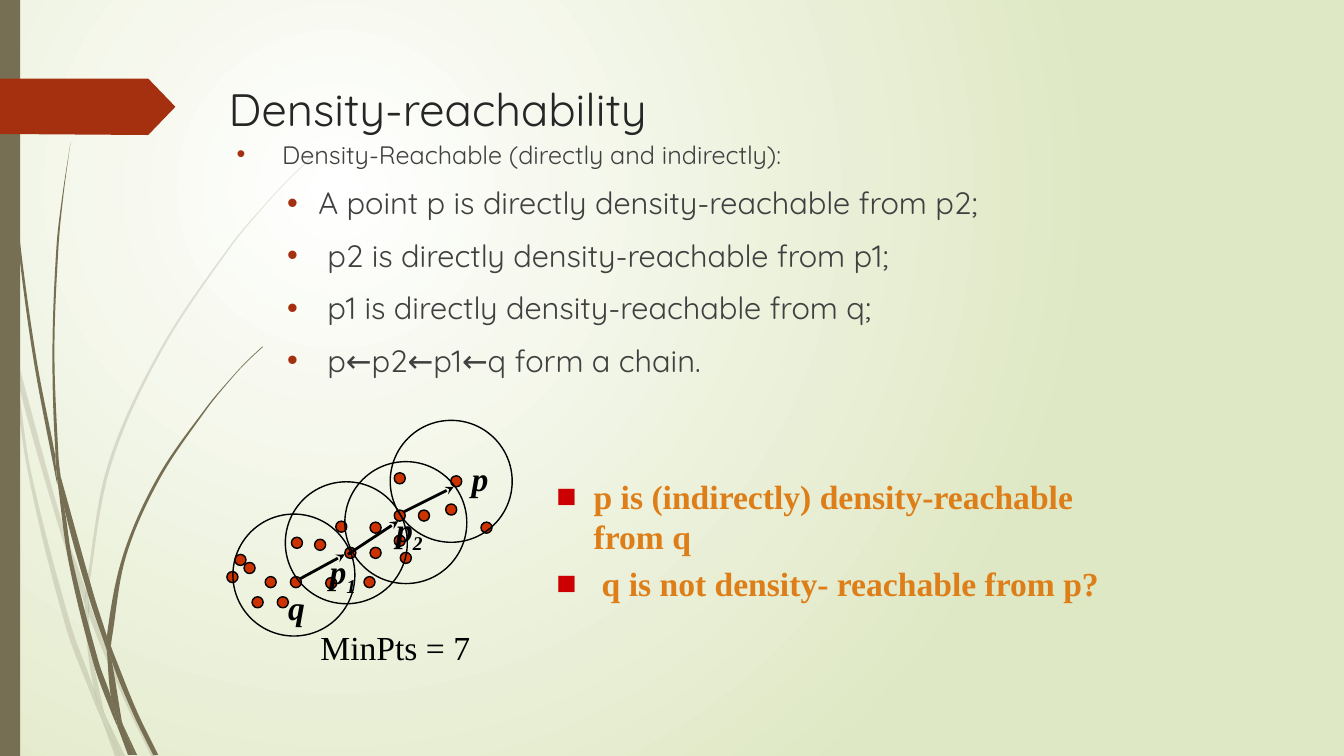
from math import hypot
from typing import NamedTuple

from lxml.etree import SubElement
from pptx import Presentation
from pptx.dml.color import RGBColor
from pptx.enum.shapes import MSO_CONNECTOR as Connector, MSO_SHAPE as Preset
from pptx.enum.text import MSO_AUTO_SIZE as AutoSize
from pptx.oxml.ns import qn
from pptx.util import Inches, Pt

# The slide is a grid of one-inch cells
COLUMNS, ROWS = 13.33, 7.5
OLIVE, RUST, BLACK = "766F54", "A53010", "000000"
SANS, SERIF = "Quicksand", "Times New Roman"
DOT, CIRCLE = 0.11, 1.21


class Place(NamedTuple):
    column: float
    row: float
    width: float
    height: float


class Style(NamedTuple):
    font: str
    size: float
    color: str
    bold: bool = False
    italic: bool = False


class Bullet(NamedTuple):
    mark: str
    color: str
    margin: float
    hang: float


class Line(NamedTuple):
    text: str
    style: Style
    bullet: Bullet | None = None
    before: float = 0
    subscript: str = ""


class Bundle(NamedTuple):
    opacity: int
    outlines: list[str]


class Arrow(NamedTuple):
    start: tuple[float, float]
    end: tuple[float, float]


# Grass strands: the x y knots of each outline
FAINT = Bundle(20, [
    "0.11 3.5 0.09 3.22 0 2.82 0 2.99 0.1 3.44",
    "0.58 5.22 0.84 5.99 0.85 5.86 0.62 5.2 0.14 3.45 0.17 3.76",
    "0.92 6.07 0.88 5.96 0.88 6.1 1.23 6.94 1.5 7.5 1.55 7.5 1.27 6.92",
    "1.19 7.5 1.24 7.5 1.05 7.11",
    "0.93 6.83 0.7 6.19 0.31 4.69 0.17 3.76 0.11 3.5 0.28 4.7 0.65 6.21 0.92 6.93 1.01 7.14 0.99 7.07",
    "0.84 5.99 0.87 6.46 0.93 6.83 0.96 6.92 1.05 7.11 1.03 7.06 0.91 6.46 0.88 6.1 0.88 6.08",
    "0.88 5.84 1.1 4.62 1.6 3.49 2.29 2.45 2.68 1.98 2.9 1.75 3.12 1.54 3.12 1.53 2.89 1.75 "
    "2.68 1.97 2.28 2.44 1.58 3.48 1.07 4.61 0.85 5.84 0.85 5.86 0.88 5.96",
    "1.01 7.14 1.14 7.5 1.19 7.5",
    "0.88 6.08 0.88 6.1 0.88 5.96 0.85 5.86 0.84 5.99",
    "0.96 6.92 0.93 6.83 0.99 7.07 1.01 7.14 1.19 7.5 1.05 7.11",
])
SOLID = Bundle(100, [
    "0.07 1.1 0.17 2.33 0.33 3.55 0.56 4.77 0.57 4.81 0.55 4.57 0.55 4.53 0.36 3.55 0.19 2.32 "
    "0.08 1.09 0.05 0.48 0.04 0 0.03 0 0.04 0.48",
    "0.88 5.92 1.06 6.45 1.06 6.33 1.06 6.31 0.93 5.9 0.6 4.72 0.64 5.05",
    "1.13 6.49 1.1 6.41 1.11 6.56 1.32 7.08 1.52 7.49 1.57 7.49 1.36 7.06",
    "1.1 6.91 0.98 6.57 0.72 5.56 0.64 5.05 0.57 4.77 0.68 5.57 0.93 6.59 1.11 7.08 1.17 7.22 1.16 7.17",
    "0.6 4.72 0.58 4.53 0.54 3.49 0.58 2.45 0.63 1.93 0.7 1.41 0.62 1.93 0.56 2.45 0.52 3.49 0.55 4.49",
    "1.33 7.49 1.36 7.49 1.22 7.19",
    "0.57 4.77 0.64 5.05 0.6 4.72 0.55 4.49 0.55 4.53",
    "1.11 6.33 1.25 5.52 1.58 4.76 2.05 4.06 2.31 3.74 2.45 3.59 2.61 3.44 2.6 3.44 2.45 3.58 "
    "2.31 3.73 2.04 4.05 1.56 4.74 1.22 5.51 1.06 6.31 1.1 6.41",
    "1.17 7.22 1.27 7.49 1.31 7.49",
    "1.06 6.45 1.1 6.91 1.16 7.06 1.22 7.19 1.21 7.16 1.11 6.56 1.09 6.51",
    "1.06 6.45 1.09 6.51 1.11 6.56 1.1 6.41 1.06 6.31 1.06 6.33",
    "1.16 7.06 1.1 6.91 1.16 7.17 1.17 7.22 1.3 7.49 1.33 7.49 1.22 7.19",
])
TAG = "0 0.78 1.47 0.78 1.74 1.06 1.47 1.34 0 1.33"

# Cluster diagram: top left corners of the points and neighbourhoods
POINTS = [
    (2.75, 5.92), (3.91, 5.06), (3.91, 4.69), (3.42, 5.43), (3.67, 5.18), (3.67, 5.43),
    (2.25, 5.67), (4.42, 5), (4.77, 5.18), (4.47, 4.72), (3.91, 5.31), (4.15, 5.06),
    (2.42, 5.58), (2.5, 5.92), (3.12, 5.35), (2.63, 5.72), (2.89, 5.33), (2.88, 5.72),
    (2.33, 5.5), (3.97, 5.48), (3.23, 5.73), (3.33, 5.17), (3.61, 5.72),
]
CIRCLES = [(3.42, 4.58), (2.83, 4.78), (3.87, 4.17), (2.31, 5.1)]
ARROWS = [Arrow((2.98, 5.74), (3.42, 5.5)), Arrow((3.45, 5.5), (3.95, 5.17)),
          Arrow((4, 5.08), (4.5, 4.83))]

# Wording
SYMBOL = Style(SERIF, 24, BLACK, True, True)
ITEM = Style(SANS, 22, "404040")
CLAIM = Style(SERIF, 24, "DE7E18", True)
FIRST = Bullet("•", RUST, 0.45, 0.45)
NEAR, FAR = Bullet("•", RUST, 0.81, 0.31), Bullet("•", RUST, 0.9, 0.4)
TITLE = [Line("Density-reachability", Style(SANS, 32.4, "262626"))]
BODY = [
    Line("Density-Reachable (directly and indirectly):", Style(SANS, 18, "404040"), FIRST),
    Line("A point p is directly density-reachable from p2;", ITEM, NEAR, 10.5),
    Line("p2 is directly density-reachable from p1;", ITEM, FAR, 11.2),
    Line("p1 is directly density-reachable from q;", ITEM, FAR, 11.2),
    Line("p←p2←p1←q form a chain.", ITEM, FAR, 11.2),
]
CLAIMS = [
    Line("p is (indirectly) density-reachable from q", CLAIM, Bullet("■", "CC0000", 0.37, 0.37)),
    Line("q is not density- reachable from p?", CLAIM, Bullet("■", "CC0000", 0.45, 0.45), 4.8),
]
LABELS = [
    (Place(4.58, 4.49, 0.42, 0.51), Line("p", SYMBOL)),
    (Place(2.76, 5.77, 0.42, 0.51), Line("q", SYMBOL)),
    (Place(3.83, 5, 0.67, 0.51), Line("p", SYMBOL, subscript="2")),
    (Place(3.17, 5.42, 0.67, 0.51), Line("p", SYMBOL, subscript="1")),
    (Place(3.08, 6.17, 3.17, 0.5), Line("MinPts = 7", Style(SERIF, 24, BLACK))),
]


def rgb(code: str) -> RGBColor:
    return RGBColor.from_string(code)


def toward(start, end) -> tuple[float, float]:
    dx, dy = end[0] - start[0], end[1] - start[1]
    length = hypot(dx, dy) or 1
    return dx / length, dy / length


def tangents(knots: list, i: int) -> tuple:
    """Directions into and out of a knot; they differ at a sharp corner."""
    before, here, after = knots[i - 1], knots[i], knots[(i + 1) % len(knots)]
    into, out = toward(before, here), toward(here, after)
    if into[0] * out[0] + into[1] * out[1] < 0.8:
        return into, out
    return (toward(before, after),) * 2


def bend(shape, knots: list) -> None:
    """Turn the straight sides of a freeform into curves."""
    for i, side in enumerate(shape._element.findall(".//" + qn("a:lnTo"))):
        j = (i + 1) % len(knots)
        a, b, leave, arrive = knots[i], knots[j], tangents(knots, i)[1], tangents(knots, j)[0]
        pull = hypot(b[0] - a[0], b[1] - a[1]) / 3
        controls = ([a[k] + pull * leave[k] for k in (0, 1)],
                    [b[k] - pull * arrive[k] for k in (0, 1)], b)
        side.tag = qn("a:cubicBezTo")
        side.remove(side[0])
        for x, y in controls:
            SubElement(side, qn("a:pt"), x=str(round(x - shape.left)), y=str(round(y - shape.top)))


def paint(shape, fill: str | None, line: str | None = None) -> None:
    shape.shadow.inherit = False
    if fill:
        shape.fill.solid()
        shape.fill.fore_color.rgb = rgb(fill)
    else:
        shape.fill.background()
    if line:
        shape.line.color.rgb, shape.line.width = rgb(line), Pt(1)
    else:
        shape.line.fill.background()


def draw_outline(shapes, outline: str, color: str, opacity: int = 100, curved: bool = True):
    numbers = [Inches(float(number)) for number in outline.split()]
    knots = list(zip(numbers[::2], numbers[1::2]))
    builder = shapes.build_freeform(*knots[0])
    builder.add_line_segments(knots[1:] + knots[:1], close=True)
    shape = builder.convert_to_shape()
    if curved:
        bend(shape, knots)
    paint(shape, color)
    if opacity < 100:
        tint = shape._element.spPr.find(".//" + qn("a:srgbClr"))
        SubElement(tint, qn("a:alpha"), val=str(opacity * 1000))
    return shape


def draw_shape(page, preset, place: Place, fill: str | None, line: str | None = None):
    shape = page.shapes.add_shape(preset, *map(Inches, place))
    paint(shape, fill, line)
    return shape


def draw_arrow(page, arrow: Arrow) -> None:
    link = page.shapes.add_connector(Connector.STRAIGHT, *map(Inches, arrow.start + arrow.end))
    link.line.color.rgb, link.line.width = rgb(BLACK), Pt(2)
    SubElement(link.line._get_or_add_ln(), qn("a:tailEnd"), type="stealth")
    SubElement(link._element.spPr, qn("a:effectLst"))


def draw_text(page, place: Place, lines: list[Line], grow: bool = False) -> None:
    frame = page.shapes.add_textbox(*map(Inches, place)).text_frame
    frame.word_wrap = True
    frame.auto_size = AutoSize.SHAPE_TO_FIT_TEXT if grow else AutoSize.NONE
    for i, line in enumerate(lines):
        para = frame.add_paragraph() if i else frame.paragraphs[0]
        para.space_before = Pt(line.before)
        if line.bullet:
            props = para._p.get_or_add_pPr()
            props.set("marL", str(Inches(line.bullet.margin)))
            props.set("indent", str(-Inches(line.bullet.hang)))
            SubElement(SubElement(props, qn("a:buClr")), qn("a:srgbClr"), val=line.bullet.color)
            SubElement(props, qn("a:buFont"), typeface="Arial")
            SubElement(props, qn("a:buChar"), char=line.bullet.mark)
        font, style = para.font, line.style
        font.name, font.size, font.color.rgb = style.font, Pt(style.size), rgb(style.color)
        font.bold, font.italic = style.bold, style.italic
        para.add_run().text = line.text
        if line.subscript:
            span = para.add_run()
            span.text = line.subscript
            span._r.get_or_add_rPr().set("baseline", "-25000")


def draw_backdrop(page, master) -> None:
    fill = page.background.fill
    fill.gradient()
    for stop, color in zip(fill.gradient_stops, ("FFFFFF", "DFE8C4")):
        stop.color.rgb = rgb(color)
    gradient = page.element.find(".//" + qn("a:gradFill"))
    gradient.remove(gradient.find(qn("a:lin")))
    glow = SubElement(gradient, qn("a:path"), path="circle")
    SubElement(glow, qn("a:fillToRect"), l="50000", t="50000", r="100000", b="100000")
    # Decoration belongs to the master
    decoration = []
    for bundle in (FAINT, SOLID):
        group = page.shapes.add_group_shape()
        for outline in bundle.outlines:
            draw_outline(group.shapes, outline, OLIVE, bundle.opacity)
        decoration.append(group)
    decoration.append(draw_shape(page, Preset.RECTANGLE, Place(0, 0, 0.2, ROWS), OLIVE))
    decoration.append(draw_outline(page.shapes, TAG, RUST, curved=False))
    for number, part in enumerate(decoration):
        master.shapes._spTree.append(part._element)


def main() -> None:
    deck = Presentation()
    deck.slide_width, deck.slide_height = Inches(COLUMNS), Inches(ROWS)
    page = deck.slides.add_slide(deck.slide_layouts[6])
    draw_backdrop(page, deck.slide_master)
    # Title and lists
    draw_text(page, Place(2.17, 0.76, 8.32, 0.62), TITLE)
    draw_text(page, Place(2.25, 1.33, 8.5, 4.5), BODY)
    draw_text(page, Place(5.42, 4.67, 5.67, 2.08), CLAIMS)
    # Cluster diagram
    for corner in POINTS:
        draw_shape(page, Preset.OVAL, Place(*corner, DOT, DOT), "CC3300", BLACK)
    for corner in CIRCLES:
        draw_shape(page, Preset.OVAL, Place(*corner, CIRCLE, CIRCLE), None, BLACK)
    for place, label in LABELS:
        draw_text(page, place, [label], grow=True)
    for arrow in ARROWS:
        draw_arrow(page, arrow)
    deck.save("out.pptx")


if __name__ == "__main__":
    main()
